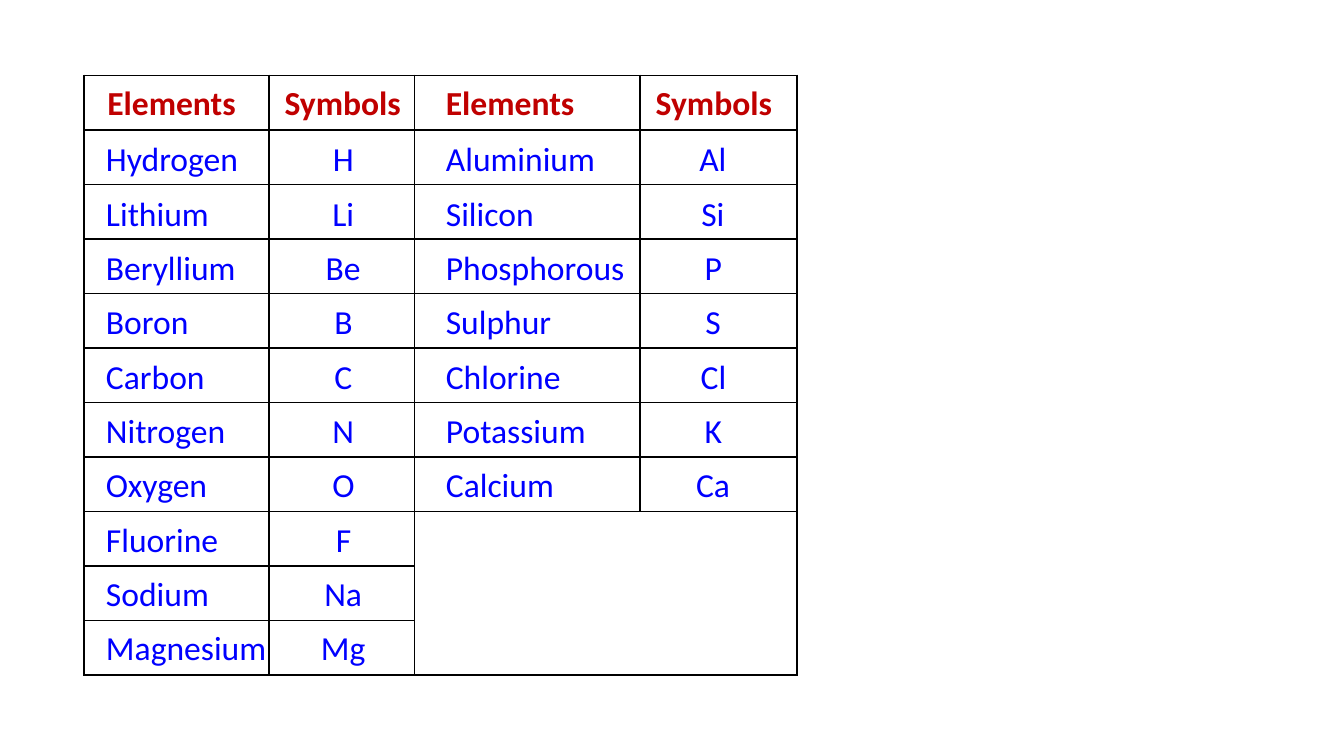
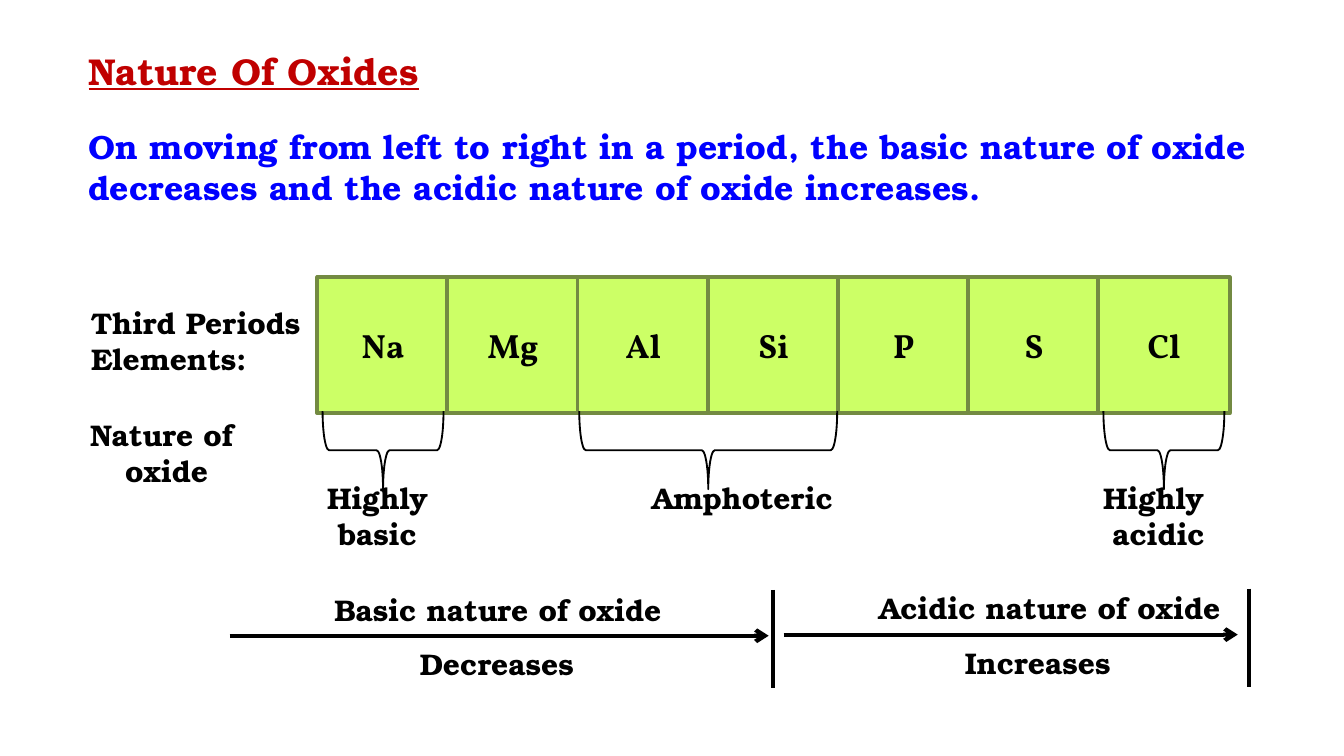
from dataclasses import dataclass

from lxml.etree import SubElement
from pptx import Presentation
from pptx.dml.color import RGBColor
from pptx.enum.shapes import MSO_CONNECTOR, MSO_SHAPE
from pptx.enum.text import MSO_ANCHOR, MSO_AUTO_SIZE, PP_ALIGN
from pptx.oxml import parse_xml
from pptx.oxml.ns import nsdecls, qn
from pptx.slide import Slide
from pptx.util import Pt

# Shared style
RED, BLUE, BLACK = "C00000", "0000FF", "000000"
LIME, OLIVE = "CCFF66", "738A42"
TABLE_FONT, BODY_FONT, CELL_FONT = "Calibri", "TeX Gyre Bonum", "Vollkorn"
TITLE_ONLY, BLANK = 5, 6


@dataclass
class Label:
    text: str
    left: float
    top: float
    width: float
    height: float
    size: float = 16
    color: str = BLACK
    font: str = BODY_FONT
    bold: bool = True
    underline: bool = False
    align: PP_ALIGN = PP_ALIGN.LEFT
    anchor: MSO_ANCHOR = MSO_ANCHOR.TOP
    wrap: bool = False
    hanging: float = 0


@dataclass
class Element:
    name: str
    name_width: float
    symbol: str
    symbol_width: float


@dataclass
class ElementColumn:
    name_left: float
    symbol_center: float
    elements: list[Element]


@dataclass
class Brace:
    center: float
    span: float


@dataclass
class Rule:
    x1: float
    y1: float
    x2: float
    y2: float
    arrow: bool = False


def rgb(value: str) -> RGBColor:
    return RGBColor.from_string(value)


def write_text(shape, label: Label) -> None:
    frame = shape.text_frame
    frame.text = label.text
    frame.word_wrap = label.wrap
    frame.vertical_anchor = label.anchor
    for paragraph in frame.paragraphs:
        paragraph.alignment = label.align
        if label.hanging:
            properties = paragraph._p.get_or_add_pPr()
            properties.set("marL", str(Pt(label.hanging)))
            properties.set("indent", str(-Pt(label.hanging)))
        font = paragraph.font
        font.name, font.size = label.font, Pt(label.size)
        font.bold, font.underline = label.bold, label.underline
        font.color.rgb = rgb(label.color)


def add_label(slide: Slide, label: Label) -> None:
    box = slide.shapes.add_textbox(
        Pt(label.left), Pt(label.top), Pt(label.width), Pt(label.height))
    write_text(box, label)
    box.text_frame.auto_size = MSO_AUTO_SIZE.SHAPE_TO_FIT_TEXT


def set_title(slide: Slide, label: Label) -> None:
    title = slide.shapes.title
    title.left, title.top = Pt(label.left), Pt(label.top)
    title.width, title.height = Pt(label.width), Pt(label.height)
    write_text(title, label)
    title.text_frame.auto_size = MSO_AUTO_SIZE.SHAPE_TO_FIT_TEXT


def add_rule(slide: Slide, rule: Rule) -> None:
    connector = slide.shapes.add_connector(
        MSO_CONNECTOR.STRAIGHT,
        Pt(rule.x1), Pt(rule.y1), Pt(rule.x2), Pt(rule.y2))
    connector.line.color.rgb = rgb(BLACK)
    connector.line.width = Pt(2.25)
    properties = connector._element.spPr
    if rule.arrow:
        SubElement(properties.find(qn("a:ln")), qn("a:tailEnd"), type="arrow")
    SubElement(properties, qn("a:effectLst"))


def add_brace(slide: Slide, brace: Brace) -> None:
    shape = slide.shapes.add_shape(
        MSO_SHAPE.RIGHT_BRACE,
        Pt(brace.center - BRACE_DEPTH / 2), Pt(BRACE_MIDDLE - brace.span / 2),
        Pt(BRACE_DEPTH), Pt(brace.span))
    shape.rotation = 90
    shape.shadow.inherit = False
    shape.fill.background()
    shape.line.color.rgb = rgb(BLACK)
    shape.line.width = Pt(1)


def set_borders(cell) -> None:
    properties = cell._tc.get_or_add_tcPr()
    for position, side in enumerate(("lnL", "lnR", "lnT", "lnB")):
        properties.insert(position, parse_xml(
            f'<a:{side} {nsdecls("a")} w="{Pt(1)}"><a:solidFill>'
            f'<a:srgbClr val="{BLACK}"/></a:solidFill></a:{side}>'))


# Elements and symbols
GRID_LEFT, GRID_TOP, ROW_HEIGHT = 45, 40.4, 29.2
COLUMN_WIDTHS = (99.1, 78, 120.8, 84.1)
ROW_COUNT = 11
FIRST_TEXT_TOP, TEXT_STEP, TEXT_HEIGHT = 70.5, 29.1, 29
HEADER_WIDTHS = (83.5, 77)
HEADERS = (("Elements", 50.4), ("Symbols", 145.4),
           ("Elements", 231.8), ("Symbols", 344.2))
ELEMENT_COLUMNS = [
    ElementColumn(49.7, 184.3, [
        Element("Hydrogen", 86.4, "H", 26),
        Element("Lithium", 70.5, "Li", 26.6),
        Element("Beryllium", 85, "Be", 33.8),
        Element("Boron", 59, "B", 24.5),
        Element("Carbon", 68.4, "C", 24.5),
        Element("Nitrogen", 79.2, "N", 26.6),
        Element("Oxygen", 69, "O", 26.6),
        Element("Fluorine", 75.6, "F", 23),
        Element("Sodium", 70.5, "Na", 35.3),
        Element("Magnesium", 101.5, "Mg", 38.9),
    ]),
    ElementColumn(231.8, 382.3, [
        Element("Aluminium", 95, "Al", 29.5),
        Element("Silicon", 62, "Si", 27.4),
        Element("Phosphorous", 110.9, "P", 23.8),
        Element("Sulphur", 72, "S", 23),
        Element("Chlorine", 77, "Cl", 28),
        Element("Potassium", 90, "K", 23.8),
        Element("Calcium", 73.4, "Ca", 33),
    ]),
]


def table_label(text: str, left: float, top: float, width: float,
                header: bool = False) -> Label:
    return Label(text, left, top, width, TEXT_HEIGHT, size=18,
                 color=RED if header else BLUE, font=TABLE_FONT, bold=header,
                 anchor=MSO_ANCHOR.MIDDLE if header else MSO_ANCHOR.TOP,
                 hanging=27)


def build_symbols_slide(slide: Slide) -> None:
    # Ruled grid with one merged block at the lower right
    table = slide.shapes.add_table(
        ROW_COUNT, len(COLUMN_WIDTHS), Pt(GRID_LEFT), Pt(GRID_TOP),
        Pt(sum(COLUMN_WIDTHS)), Pt(ROW_COUNT * ROW_HEIGHT)).table
    table.first_row = table.horz_banding = False
    for column, width in zip(table.columns, COLUMN_WIDTHS):
        column.width = Pt(width)
    for row in table.rows:
        row.height = Pt(ROW_HEIGHT)
        for cell in row.cells:
            cell.margin_top = cell.margin_bottom = Pt(0)
            cell.fill.background()
            set_borders(cell)
    table.cell(8, 2).merge(table.cell(10, 3))

    # Headings
    for index, (heading, left) in enumerate(HEADERS):
        add_label(slide, table_label(
            heading, left, GRID_TOP, HEADER_WIDTHS[index % 2], header=True))

    # Names aligned left, symbols centred on their column
    for column in ELEMENT_COLUMNS:
        for row, element in enumerate(column.elements):
            top = FIRST_TEXT_TOP + row * TEXT_STEP
            add_label(slide, table_label(
                element.name, column.name_left, top, element.name_width))
            add_label(slide, table_label(
                element.symbol, column.symbol_center - element.symbol_width / 2,
                top, element.symbol_width))


# Nature of oxides
PERIOD = ("Na", "Mg", "Al", "Si", "P", "S", "Cl")
PERIOD_LEFT, PERIOD_TOP, PERIOD_STEP = 169.9, 148.5, 69.75
SQUARE_WIDTH, SQUARE_HEIGHT = 70.5, 72.8
BRACE_DEPTH, BRACE_MIDDLE = 41.8, 241.2
NATURE_TOP = 253.4
BRACES = (Brace(205.2, 64.8), Brace(379.4, 138.2), Brace(623.5, 64.8))
OXIDES_TITLE = Label("Nature Of Oxides", 40.3, 22.3, 211, 31.7, size=20,
                     color=RED, underline=True, wrap=True)
OXIDE_LABELS = (
    Label("On moving from left to right in a period, the basic nature of oxide "
          "decreases and the acidic nature of oxide increases.",
          40.3, 64, 643.7, 51, size=18, color=BLUE, wrap=True),
    Label("Third Periods\nElements:", 41.8, 159.8, 128, 46),
    Label("Nature of \noxide", 40.3, 219.6, 98, 46, align=PP_ALIGN.CENTER),
    Label("Highly\nbasic", 167.8, NATURE_TOP, 69, 46, align=PP_ALIGN.CENTER),
    Label("Amphoteric", 341.3, NATURE_TOP, 113, 26.6, align=PP_ALIGN.CENTER),
    Label("Highly \nacidic", 583.2, NATURE_TOP, 75, 46, align=PP_ALIGN.CENTER),
    Label("Basic nature of oxide", 172, 313.2, 217.4, 26.6, wrap=True),
    Label("Decreases", 217.8, 342.3, 134.6, 26.6, wrap=True),
    Label("Acidic nature of oxide", 463.7, 312.6, 217.4, 26.6, wrap=True),
    Label("Increases", 509.8, 341.7, 134.6, 26.6, wrap=True),
)
TREND_RULES = (
    Rule(123.1, 340.6, 411.8, 340.6, arrow=True),
    Rule(414, 316, 414, 368.6),
    Rule(419.8, 340, 663.1, 340, arrow=True),
    Rule(669.2, 315.4, 669.2, 368.2),
)


def add_period_square(slide: Slide, symbol: str, left: float) -> None:
    square = slide.shapes.add_shape(
        MSO_SHAPE.RECTANGLE, Pt(left), Pt(PERIOD_TOP),
        Pt(SQUARE_WIDTH), Pt(SQUARE_HEIGHT))
    square.shadow.inherit = False
    square.fill.solid()
    square.fill.fore_color.rgb = rgb(LIME)
    square.line.color.rgb = rgb(OLIVE)
    square.line.width = Pt(2)
    write_text(square, Label(
        symbol, left, PERIOD_TOP, SQUARE_WIDTH, SQUARE_HEIGHT, size=18,
        font=CELL_FONT, align=PP_ALIGN.CENTER, anchor=MSO_ANCHOR.MIDDLE,
        wrap=True))


def build_oxides_slide(slide: Slide) -> None:
    set_title(slide, OXIDES_TITLE)
    # Third period
    for index, symbol in enumerate(PERIOD):
        add_period_square(slide, symbol, PERIOD_LEFT + index * PERIOD_STEP)
    # Groups, captions and trends
    for brace in BRACES:
        add_brace(slide, brace)
    for label in OXIDE_LABELS:
        add_label(slide, label)
    for rule in TREND_RULES:
        add_rule(slide, rule)


def main() -> None:
    deck = Presentation()
    deck.slide_width, deck.slide_height = Pt(720), Pt(405)
    build_symbols_slide(deck.slides.add_slide(deck.slide_layouts[BLANK]))
    build_oxides_slide(deck.slides.add_slide(deck.slide_layouts[TITLE_ONLY]))
    deck.save("out.pptx")


if __name__ == "__main__":
    main()
